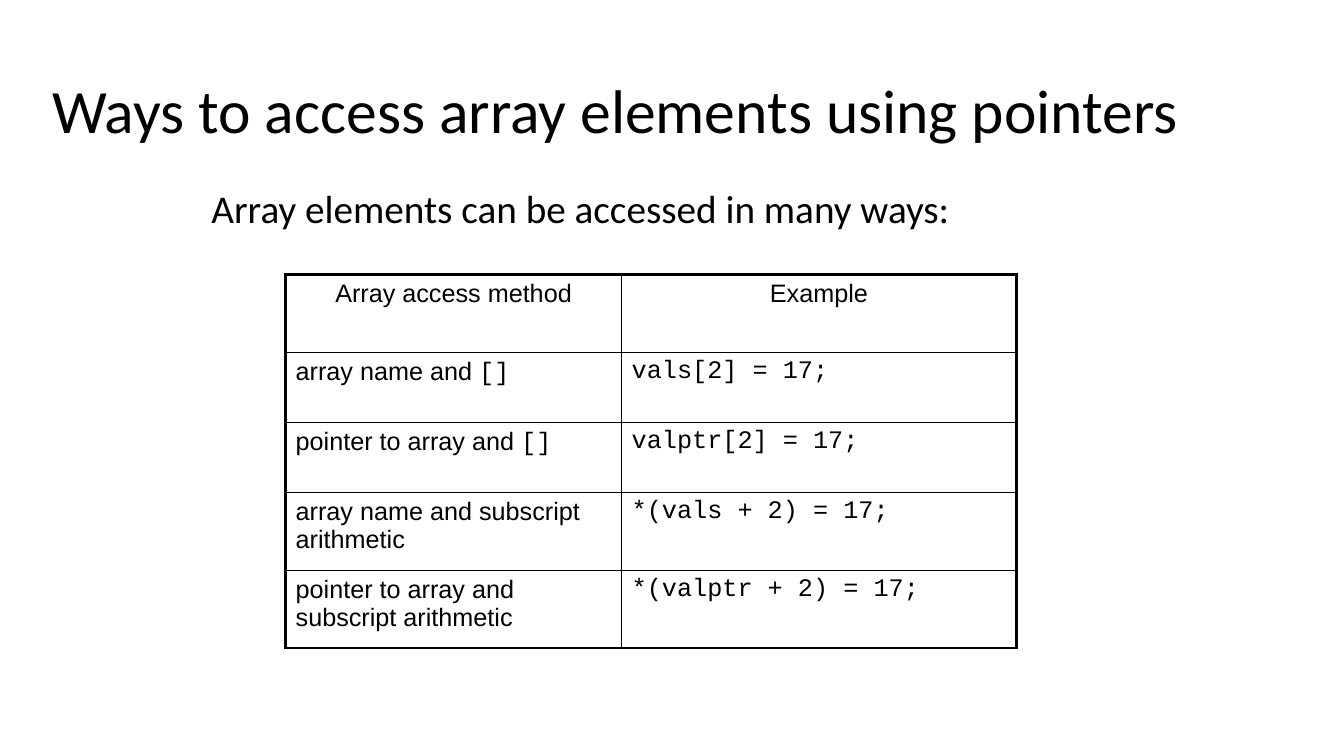
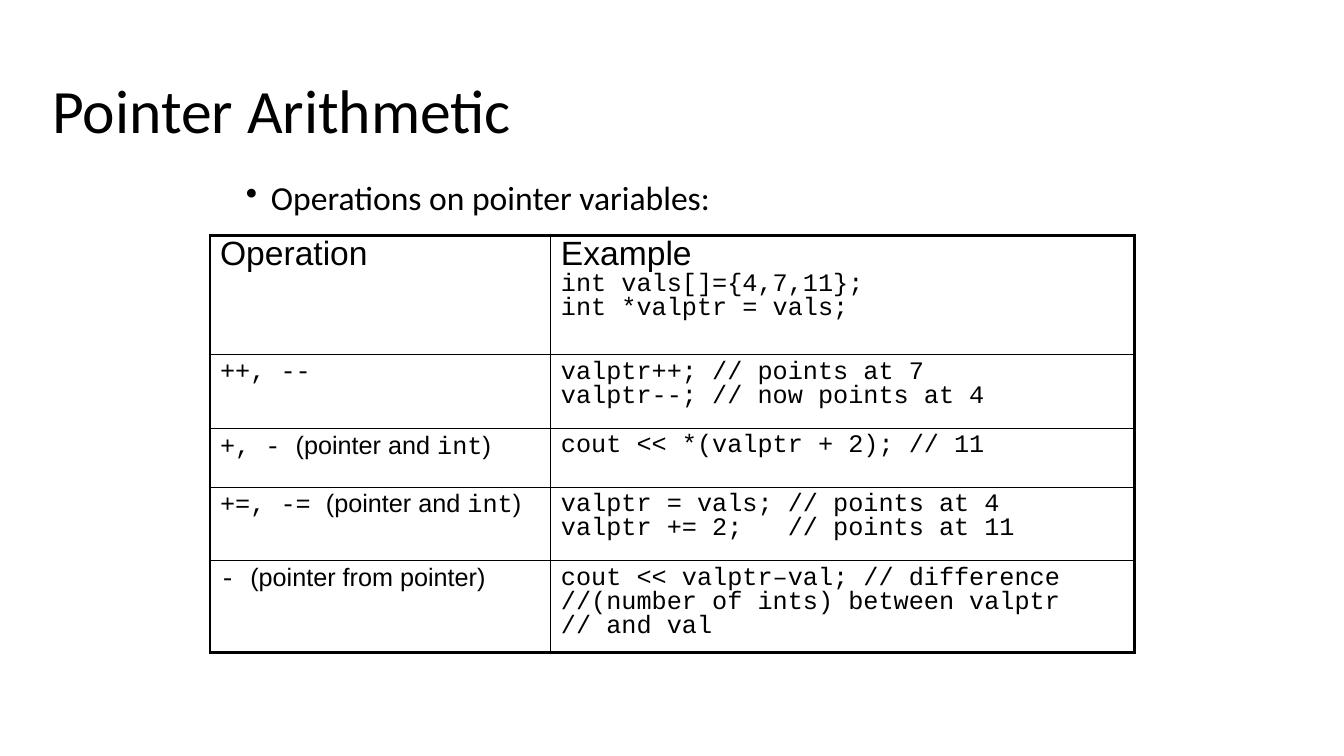
from dataclasses import dataclass

from lxml import etree
from pptx import Presentation
from pptx.dml.color import RGBColor
from pptx.enum.text import MSO_ANCHOR, MSO_AUTO_SIZE, PP_ALIGN
from pptx.oxml.ns import qn
from pptx.util import Pt

LEFT, CENTER = PP_ALIGN.LEFT, PP_ALIGN.CENTER
TOP, MIDDLE = MSO_ANCHOR.TOP, MSO_ANCHOR.MIDDLE
NO_AUTOFIT = MSO_AUTO_SIZE.NONE
TITLE_ONLY = 5


# Shared look
@dataclass(frozen=True)
class Theme:
    ink: str = "000000"
    text_font: str = "Calibri"
    table_font: str = "Arial"
    code_font: str = "Courier New"
    title_size: float = 44
    cell_size: float = 18
    line_spacing: float = 0.9
    intro_gap: float = 10
    bullet_indent: float = 18
    outer_border: float = 2.25
    inner_border: float = 1


@dataclass(frozen=True)
class Box:
    left: float
    top: float
    width: float
    height: float


@dataclass(frozen=True)
class Intro:
    text: str
    box: Box
    size: float
    bulleted: bool = False


@dataclass(frozen=True)
class CodeTable:
    """Cells hold lines of text; backticks enclose code."""
    left: float
    top: float
    columns: tuple[float, ...]
    row_heights: tuple[float, ...]
    rows: tuple[tuple[str, ...], ...]
    heading_size: float
    heading_align: PP_ALIGN
    line_spacing: float


@dataclass(frozen=True)
class Topic:
    title: str
    intro: Intro
    table: CodeTable


THEME = Theme()
TITLE_BOX = Box(30, 29, 900, 104.5)

TOPICS = (
    Topic(
        "Ways to access array elements using pointers",
        Intro("Array elements can be accessed in many ways:", Box(144, 132, 654, 348), 28),
        CodeTable(
            204, 196, (240, 282), (56, 50, 50, 55.5, 55.5),
            (
                ("Array access method", "Example"),
                ("array name and `[]`", "`vals[2] = 17;`"),
                ("pointer to array and `[]`", "`valptr[2] = 17;`"),
                ("array name and subscript arithmetic", "`*(vals + 2) = 17;`"),
                ("pointer to array and subscript arithmetic", "`*(valptr + 2) = 17;`"),
            ),
            heading_size=18, heading_align=CENTER, line_spacing=1.0,
        ),
    ),
    Topic(
        "Pointer Arithmetic",
        Intro("Operations on pointer variables:", Box(168.5, 126, 618, 294.5), 24, bulleted=True),
        CodeTable(
            150, 168, (243.5, 417), (85.5, 52.5, 42, 52.5, 65.5),
            (
                ("Operation", "Example\n`int vals[]={4,7,11};`\n`int *valptr = vals;`"),
                ("`++, --`", "`valptr++; // points at 7`\n`valptr--; // now points at 4`"),
                ("`+, - `(pointer and `int`)", "`cout << *(valptr + 2); // 11`"),
                ("`+=, -= `(pointer and `int`)",
                 "`valptr = vals; // points at 4`\n`valptr += 2;   // points at 11`"),
                ("`- `(pointer from pointer)",
                 "`cout << valptr–val; // difference`\n"
                 "`//(number of ints) between valptr`\n`// and val`"),
            ),
            heading_size=24, heading_align=LEFT, line_spacing=0.85,
        ),
    ),
)


# Text
def format_run(run, font: str, size: float) -> None:
    run.font.name = font
    run.font.size = Pt(size)
    run.font.bold = False
    run.font.color.rgb = RGBColor.from_string(THEME.ink)


def write_line(shape, text: str, size: float, anchor: MSO_ANCHOR):
    frame = shape.text_frame
    frame.text = text
    frame.word_wrap = True
    frame.auto_size = NO_AUTOFIT
    frame.vertical_anchor = anchor
    paragraph = frame.paragraphs[0]
    paragraph.alignment = LEFT
    paragraph.line_spacing = THEME.line_spacing
    format_run(paragraph.runs[0], THEME.text_font, size)
    return paragraph


def place_title(slide, text: str) -> None:
    title = slide.shapes.title
    title.left, title.top = Pt(TITLE_BOX.left), Pt(TITLE_BOX.top)
    title.width, title.height = Pt(TITLE_BOX.width), Pt(TITLE_BOX.height)
    write_line(title, text, THEME.title_size, MIDDLE)


def add_intro(slide, intro: Intro) -> None:
    box = intro.box
    shape = slide.shapes.add_textbox(Pt(box.left), Pt(box.top), Pt(box.width), Pt(box.height))
    paragraph = write_line(shape, intro.text, intro.size, TOP)
    paragraph.space_before = Pt(THEME.intro_gap)
    if intro.bulleted:
        properties = paragraph._p.get_or_add_pPr()
        properties.set("marL", str(Pt(THEME.bullet_indent)))
        properties.set("indent", str(-Pt(THEME.bullet_indent)))
        etree.SubElement(properties, qn("a:buChar"), char="•")


# Table
def set_borders(cell, outer_sides: dict[str, bool]) -> None:
    properties = cell._tc.get_or_add_tcPr()
    for position, (side, is_outer) in enumerate(outer_sides.items()):
        width = THEME.outer_border if is_outer else THEME.inner_border
        border = etree.Element(qn(f"a:ln{side}"), w=str(Pt(width)))
        fill = etree.SubElement(border, qn("a:solidFill"))
        etree.SubElement(fill, qn("a:srgbClr"), val=THEME.ink)
        properties.insert(position, border)


def fill_cell(cell, content: str, text_size: float, align: PP_ALIGN, spacing: float) -> None:
    frame = cell.text_frame
    for number, line in enumerate(content.split("\n")):
        paragraph = frame.add_paragraph() if number else frame.paragraphs[0]
        paragraph.alignment = align
        paragraph.line_spacing = spacing
        for index, part in enumerate(line.split("`")):
            if part:
                run = paragraph.add_run()
                run.text = part
                if index % 2:
                    format_run(run, THEME.code_font, THEME.cell_size)
                else:
                    format_run(run, THEME.table_font, text_size)


def add_code_table(slide, spec: CodeTable) -> None:
    last_row, last_column = len(spec.rows) - 1, len(spec.columns) - 1
    table = slide.shapes.add_table(
        len(spec.rows), len(spec.columns), Pt(spec.left), Pt(spec.top),
        Pt(sum(spec.columns)), Pt(sum(spec.row_heights)),
    ).table
    table.first_row = table.horz_banding = False
    for column, width in zip(table.columns, spec.columns):
        column.width = Pt(width)
    for r, (height, contents) in enumerate(zip(spec.row_heights, spec.rows)):
        table.rows[r].height = Pt(height)
        size = THEME.cell_size if r else spec.heading_size
        align = LEFT if r else spec.heading_align
        for c, content in enumerate(contents):
            cell = table.cell(r, c)
            cell.fill.background()
            fill_cell(cell, content, size, align, spec.line_spacing)
            set_borders(cell, {"L": c == 0, "R": c == last_column,
                               "T": r == 0, "B": r == last_row})


# Slides
def main() -> None:
    deck = Presentation()
    deck.slide_width, deck.slide_height = Pt(960), Pt(540)
    for topic in TOPICS:
        slide = deck.slides.add_slide(deck.slide_layouts[TITLE_ONLY])
        place_title(slide, topic.title)
        add_intro(slide, topic.intro)
        add_code_table(slide, topic.table)
    deck.save("out.pptx")


main()
